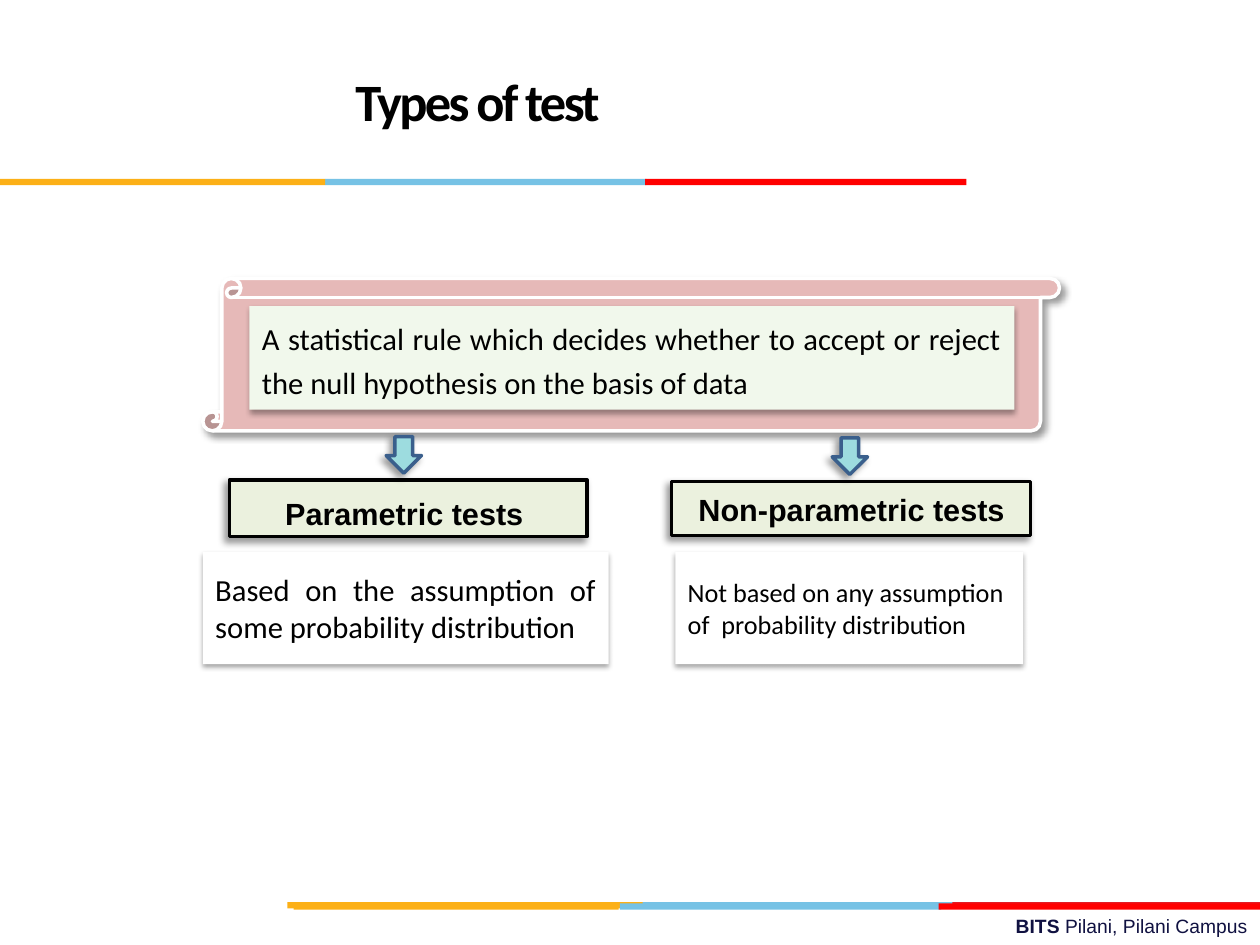
from lxml import etree
from pptx import Presentation
from pptx.dml.color import RGBColor
from pptx.enum.shapes import MSO_SHAPE
from pptx.enum.text import MSO_ANCHOR, PP_ALIGN
from pptx.oxml.ns import qn
from pptx.util import Inches, Pt

RECT = MSO_SHAPE.RECTANGLE
CARD = MSO_SHAPE.ROUND_2_DIAG_RECTANGLE
SCROLL = MSO_SHAPE.VERTICAL_SCROLL
ARROW = MSO_SHAPE.LEFT_ARROW
TOP, MIDDLE = MSO_ANCHOR.TOP, MSO_ANCHOR.MIDDLE
LEFT, CENTER, RIGHT, JUSTIFY = PP_ALIGN.LEFT, PP_ALIGN.CENTER, PP_ALIGN.RIGHT, PP_ALIGN.JUSTIFY

COLORS = {
    "black": "000000", "white": "FFFFFF", "navy": "101141",
    "gold": "FCB017", "sky": "76C2E5", "crimson": "E31C24", "red": "FF0000",
    "rose": "E6B9B8", "mint": "F1F8EC", "olive": "EBF1DE",
    "aqua": "9DDCDF", "steel": "3A5F8C",
}
CARD_SHADOW = (35, 3.1, 1.8, 90)
SCROLL_SHADOW = (40, 4, 3, 45)
LABEL_SHADOW = (40, 4, 3, 135)


def color(name):
    """Return the RGB colour of a palette name."""
    return RGBColor.from_string(COLORS[name])


def add_shadow(shape, opacity, blur, distance, angle):
    """Give a shape a black outer shadow."""
    effects = shape._element.spPr.find(qn("a:effectLst"))
    shadow = etree.SubElement(
        effects, qn("a:outerShdw"), blurRad=str(Pt(blur)), dist=str(Pt(distance)),
        dir=str(angle * 60000), algn="ctr", rotWithShape="0")
    black = etree.SubElement(shadow, qn("a:srgbClr"), val=COLORS["black"])
    etree.SubElement(black, qn("a:alpha"), val=str(opacity * 1000))


def add_block(slide, preset, box, fill, line=None, shadow=None):
    """Add a filled preset shape with an optional outline and shadow."""
    block = slide.shapes.add_shape(preset, *map(Inches, box))
    block.fill.solid()
    block.fill.fore_color.rgb = color(fill)
    if line:
        block.line.color.rgb = color(line)
        block.line.width = Pt(2)
    else:
        block.line.fill.background()
    block.shadow.inherit = False
    if shadow:
        add_shadow(block, *shadow)
    return block


def write(shape, text, size, font="Calibri", bold=False, align=LEFT,
          anchor=TOP, ink="black", spacing=None):
    """Write one paragraph into a shape and return it."""
    frame = shape.text_frame
    frame.word_wrap = True
    frame.vertical_anchor = anchor
    paragraph = frame.paragraphs[0]
    paragraph.alignment = align
    paragraph.line_spacing = spacing
    paragraph.font.name = font
    paragraph.font.size = Pt(size)
    paragraph.font.bold = bold
    paragraph.font.color.rgb = color(ink)
    paragraph.add_run().text = text
    return paragraph


def add_text(slide, box, text, size, **style):
    """Add a text box with one paragraph and return the paragraph."""
    return write(slide.shapes.add_textbox(*map(Inches, box)), text, size, **style)


def add_card(slide, box, text=None, size=None, fill="white", **style):
    """Add a square-cornered card with a soft shadow below it."""
    card = add_block(slide, CARD, box, fill, shadow=CARD_SHADOW)
    card.adjustments[0] = card.adjustments[1] = 0
    if text:
        write(card, text, size, anchor=MIDDLE, **style)


def add_band(slide, top, segments):
    """Add a thin band of coloured segments."""
    for left, width, fill in segments:
        add_block(slide, RECT, (left, top, width, 0.05), fill)


def add_branch(slide, arrow_at, label_box, caption_box, caption):
    """Add a down arrow leading to a captioned label."""
    label = add_block(slide, RECT, label_box, "olive", "black", LABEL_SHADOW)
    label.line.width = Pt(2)
    add_text(slide, caption_box, caption, 17.5, font="Arial", bold=True, align=CENTER)
    arrow = add_block(slide, ARROW, (*arrow_at, 0.29, 0.28), "aqua", "steel", LABEL_SHADOW)
    arrow.rotation = 270


def main():
    """Build the slide and save it."""
    deck = Presentation()
    deck.slide_width, deck.slide_height = Inches(10), Inches(7.5)
    slide = deck.slides.add_slide(deck.slide_layouts[6])

    campus = add_text(slide, (3.58, 7.21, 6.42, 0.29), "BITS ", 11,
                      font="Arial", align=RIGHT, ink="navy")
    campus.runs[0].font.bold = True
    campus.add_run().text = "Pilani, Pilani Campus"

    add_band(slide, 7.16, [(5.06, 2.55, "sky"), (7.56, 2.44, "crimson"), (2.28, 2.82, "gold")])
    add_band(slide, 7.17, [(4.92, 2.55, "sky"), (2.33, 2.58, "gold"), (7.45, 2.55, "red")])
    add_band(slide, 1.42, [(2.58, 2.55, "sky"), (0, 2.58, "gold"), (5.12, 2.55, "red")])

    title = add_text(slide, (0.33, 0.17, 6.92, 1.25), "Types of test", 30, bold=True,
                     align=CENTER, anchor=MIDDLE, spacing=Pt(36))
    title.runs[0]._r.get_or_add_rPr().set("spc", "-150")

    add_block(slide, SCROLL, (1.61, 2.21, 6.8, 1.21), "rose", "white", SCROLL_SHADOW)
    add_card(slide, (1.98, 2.43, 6.07, 0.82), fill="mint")
    add_text(slide, (1.98, 2.43, 6.07, 0.81),
             "A statistical rule which decides whether to accept or reject "
             "the null hypothesis on the basis of data",
             17.5, align=JUSTIFY, spacing=1.2)

    add_card(slide, (1.61, 4.38, 3.22, 0.89),
             "Based on the assumption of some probability distribution ", 17.5, align=JUSTIFY)
    add_branch(slide, (3.06, 3.47), (1.82, 3.81, 2.84, 0.45),
               (1.74, 3.88, 2.94, 0.4), "Parametric tests")
    add_card(slide, (5.36, 4.38, 2.76, 0.89),
             "Not based on any assumption of  probability distribution", 15)
    add_branch(slide, (6.6, 3.48), (5.33, 3.82, 2.85, 0.43),
               (5.44, 3.85, 2.64, 0.4), "Non-parametric tests")

    deck.save("out.pptx")


if __name__ == "__main__":
    main()
